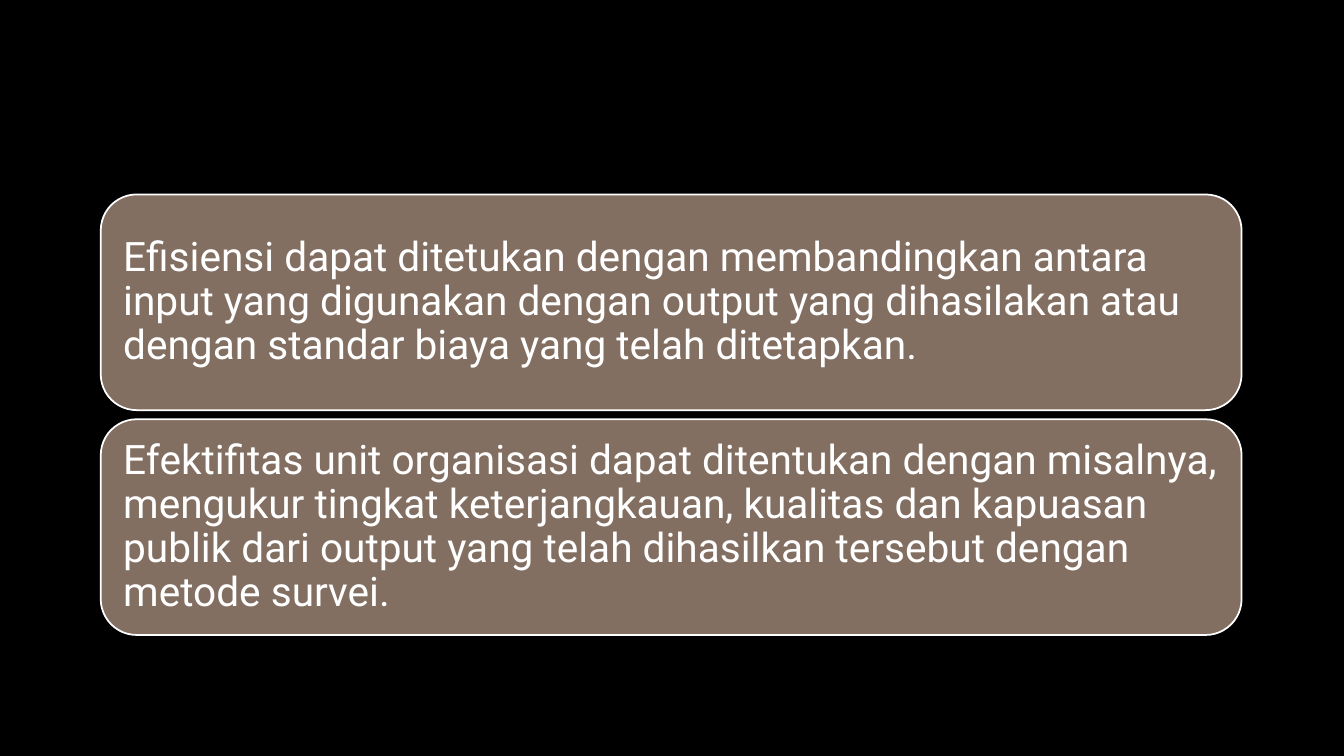
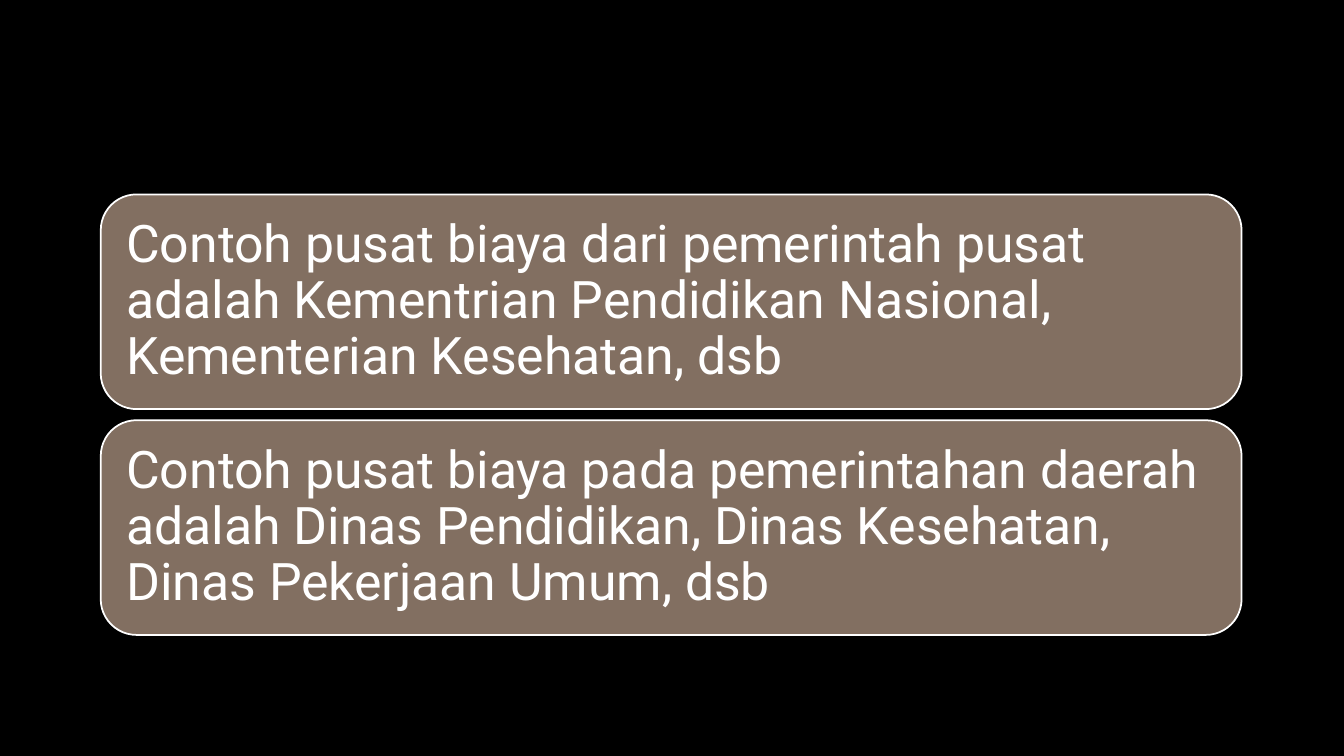
from pptx import Presentation
from pptx.dml.color import RGBColor
from pptx.enum.shapes import MSO_SHAPE as Preset
from pptx.enum.text import MSO_ANCHOR as Anchor, PP_ALIGN as Align
from pptx.util import Cm, Pt

COLOURS = {"background": "000000", "card": "826F61", "light": "FFFFFF"}
FONT = "Roboto"
STACK_LEFT, STACK_TOP, STACK_WIDTH, STACK_HEIGHT = 2.54, 4.9, 28.75, 11.1

MEASURES = [
    "Efisiensi dapat ditetukan dengan membandingkan antara input yang digunakan "
    "dengan output yang dihasilakan atau dengan standar biaya yang telah ditetapkan.",
    "Efektifitas unit organisasi dapat ditentukan dengan misalnya, mengukur tingkat "
    "keterjangkauan, kualitas dan kapuasan publik dari output yang telah dihasilkan "
    "tersebut dengan metode survei.",
]
EXAMPLES = [
    "Contoh pusat biaya dari pemerintah pusat adalah Kementrian Pendidikan Nasional, "
    "Kementerian Kesehatan, dsb",
    "Contoh pusat biaya pada pemerintahan daerah adalah Dinas Pendidikan, "
    "Dinas Kesehatan, Dinas Pekerjaan Umum, dsb",
]


def colour(name):
    """Return the named palette colour."""
    return RGBColor.from_string(COLOURS[name])


def set_background(deck):
    """Fill the background that all pages share."""
    fill = deck.slide_master.background.fill
    fill.solid()
    fill.fore_color.rgb = colour("background")


def add_card(page, text, top, height, size, inset):
    """Add one rounded card with its text."""
    card = page.shapes.add_shape(
        Preset.ROUNDED_RECTANGLE, Cm(STACK_LEFT), Cm(top), Cm(STACK_WIDTH), Cm(height)
    )
    card.shadow.inherit = False
    card.fill.solid()
    card.fill.fore_color.rgb = colour("card")
    card.line.color.rgb = colour("light")
    card.line.width = Pt(1.25)

    frame = card.text_frame
    frame.word_wrap = True
    frame.vertical_anchor = Anchor.MIDDLE
    frame.margin_left = frame.margin_right = Cm(inset)
    frame.margin_top = frame.margin_bottom = Cm(inset)

    para = frame.paragraphs[0]
    para.alignment = Align.LEFT
    para.line_spacing = 0.9
    span = para.add_run()
    span.text = text
    span.font.name = FONT
    span.font.size = Pt(size)
    span.font.color.rgb = colour("light")


def add_card_page(deck, texts, size, inset, gap):
    """Add a page with equal cards stacked from top to bottom."""
    page = deck.slides.add_slide(deck.slide_layouts[6])
    height = (STACK_HEIGHT - gap * (len(texts) - 1)) / len(texts)
    for index, text in enumerate(texts):
        add_card(page, text, STACK_TOP + index * (height + gap), height, size, inset)


def main():
    """Build and save the deck."""
    deck = Presentation()
    deck.slide_width, deck.slide_height = Cm(33.87), Cm(19.05)
    set_background(deck)
    add_card_page(deck, MEASURES, size=29, inset=0.3, gap=0.23)
    add_card_page(deck, EXAMPLES, size=37, inset=0.38, gap=0.28)
    deck.save("out.pptx")


if __name__ == "__main__":
    main()
